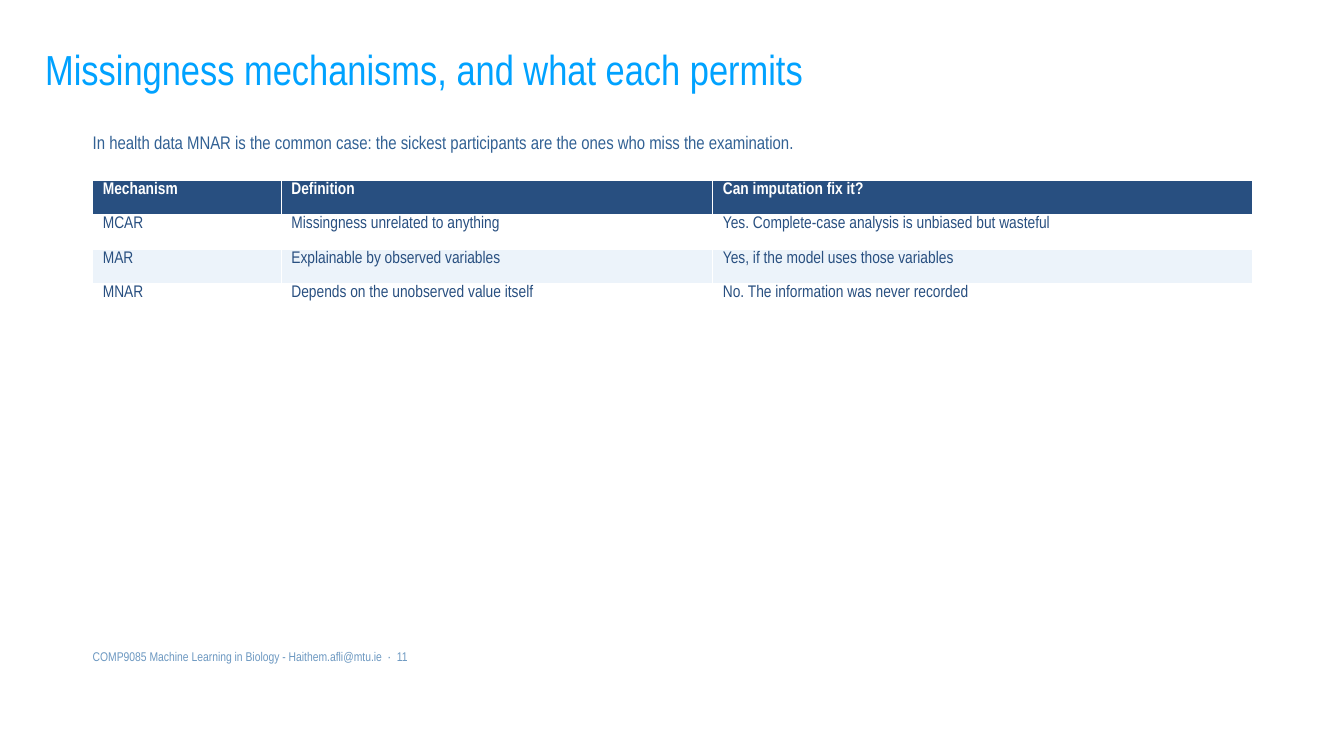
from dataclasses import dataclass

from pptx import Presentation
from pptx.dml.color import RGBColor
from pptx.enum.text import MSO_ANCHOR
from pptx.slide import Slide
from pptx.table import _Cell
from pptx.text.text import _Paragraph
from pptx.util import Inches, Pt

MIDDLE = MSO_ANCHOR.MIDDLE
TOP = MSO_ANCHOR.TOP


@dataclass(frozen=True)
class TextStyle:
    size: float
    color: str
    bold: bool = False


@dataclass(frozen=True)
class Theme:
    font: str = "Arial Narrow"
    title: TextStyle = TextStyle(30, "00A2FF")
    lead: TextStyle = TextStyle(13, "326194")
    footer: TextStyle = TextStyle(9, "6C98C1")
    header: TextStyle = TextStyle(12, "FFFFFF", bold=True)
    body: TextStyle = TextStyle(12, "284F80")
    header_fill: str = "284F80"
    row_fills: tuple[str, str] = ("FFFFFF", "ECF3FA")


@dataclass(frozen=True)
class TextBlock:
    text: str
    left: float
    top: float
    width: float
    height: float
    style: TextStyle
    inset_x: float = 0
    inset_y: float = 0
    anchor: MSO_ANCHOR = TOP
    line_spacing: float = 1.0


THEME = Theme()
MARGIN = 0.92
CONTENT_WIDTH = 11.5
TABLE_TOP = 1.79
ROW_HEIGHT = 0.34
COLUMN_WIDTHS = (1.87, 4.28, 5.35)

TEXT_BLOCKS = (
    TextBlock("Missingness mechanisms, and what each permits", 0.35, 0.16, 9.2, 1.1,
              THEME.title, inset_x=0.1, inset_y=0.05, anchor=MIDDLE, line_spacing=0.9),
    TextBlock("In health data MNAR is the common case: the sickest participants "
              "are the ones who miss the examination.",
              MARGIN, 1.3, CONTENT_WIDTH, 0.34, THEME.lead),
    TextBlock("COMP9085 Machine Learning in Biology - Haithem.afli@mtu.ie  ·  11",
              MARGIN, 6.44, 7.3, 0.26, THEME.footer),
)

MECHANISM_ROWS = (
    ("Mechanism", "Definition", "Can imputation fix it?"),
    ("MCAR", "Missingness unrelated to anything",
     "Yes. Complete-case analysis is unbiased but wasteful"),
    ("MAR", "Explainable by observed variables", "Yes, if the model uses those variables"),
    ("MNAR", "Depends on the unobserved value itself", "No. The information was never recorded"),
)


def add_run(paragraph: _Paragraph, text: str, style: TextStyle) -> None:
    run = paragraph.add_run()
    run.text = text
    run.font.name = THEME.font
    run.font.size = Pt(style.size)
    run.font.bold = style.bold
    run.font.color.rgb = RGBColor.from_string(style.color)


def add_text_block(slide: Slide, block: TextBlock) -> None:
    shape = slide.shapes.add_textbox(Inches(block.left), Inches(block.top),
                                     Inches(block.width), Inches(block.height))
    frame = shape.text_frame
    frame.word_wrap = True
    frame.vertical_anchor = block.anchor
    frame.margin_left = frame.margin_right = Inches(block.inset_x)
    frame.margin_top = frame.margin_bottom = Inches(block.inset_y)
    paragraph = frame.paragraphs[0]
    paragraph.line_spacing = block.line_spacing
    add_run(paragraph, block.text, block.style)


def fill_cell(cell: _Cell, text: str, style: TextStyle, fill: str) -> None:
    cell.margin_left = cell.margin_right = Inches(0.1)
    cell.margin_top = cell.margin_bottom = Inches(0.02)
    cell.fill.solid()
    cell.fill.fore_color.rgb = RGBColor.from_string(fill)
    add_run(cell.text_frame.paragraphs[0], text, style)


def add_mechanism_table(slide: Slide) -> None:
    """Add the table; its default style supplies the white cell borders."""
    row_count = len(MECHANISM_ROWS)
    table = slide.shapes.add_table(
        row_count, len(COLUMN_WIDTHS), Inches(MARGIN), Inches(TABLE_TOP),
        Inches(CONTENT_WIDTH), Inches(ROW_HEIGHT * row_count)).table
    for column, width in zip(table.columns, COLUMN_WIDTHS):
        column.width = Inches(width)
    for row_index, texts in enumerate(MECHANISM_ROWS):
        table.rows[row_index].height = Inches(ROW_HEIGHT)
        if row_index == 0:
            style, fill = THEME.header, THEME.header_fill
        else:
            style, fill = THEME.body, THEME.row_fills[(row_index - 1) % 2]
        for column_index, text in enumerate(texts):
            fill_cell(table.cell(row_index, column_index), text, style, fill)


def main() -> None:
    presentation = Presentation()
    presentation.slide_width = Inches(13.33)
    presentation.slide_height = Inches(7.5)
    slide = presentation.slides.add_slide(presentation.slide_layouts[6])
    for block in TEXT_BLOCKS:
        add_text_block(slide, block)
    add_mechanism_table(slide)
    presentation.save("out.pptx")


if __name__ == "__main__":
    main()
